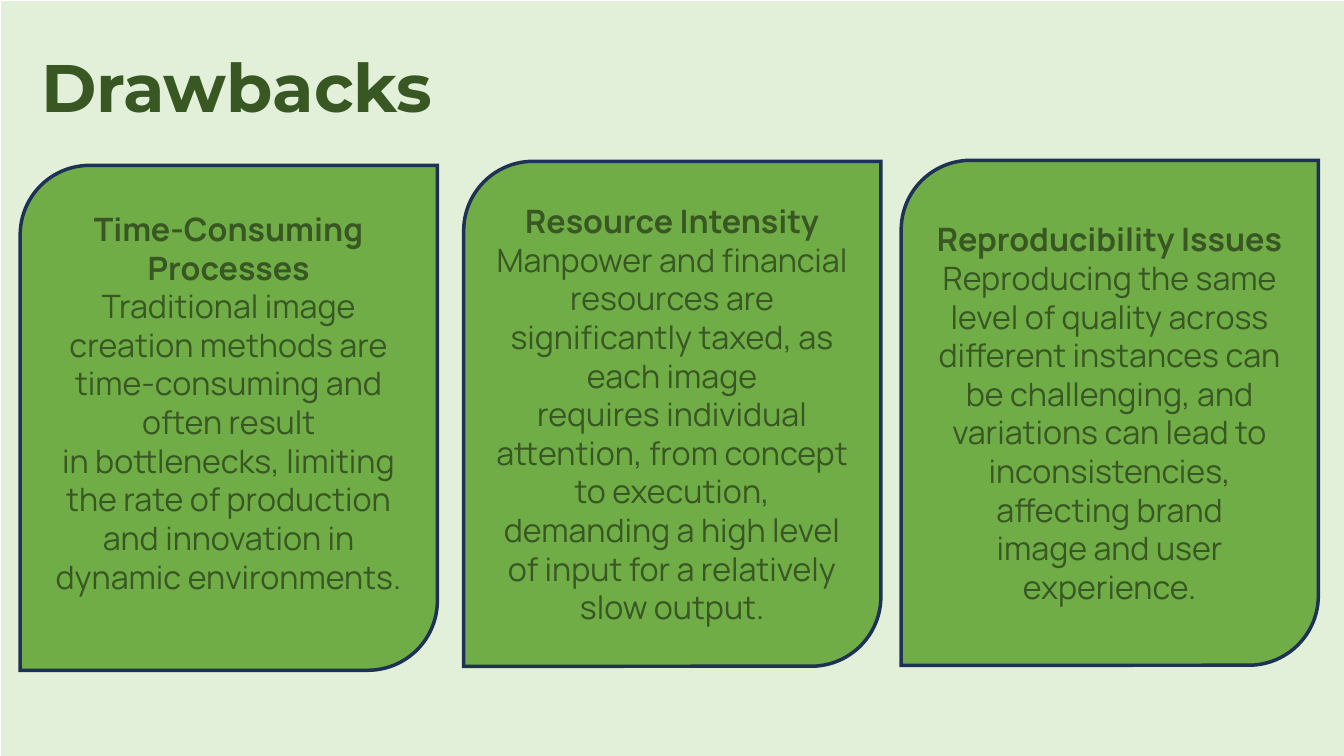
from dataclasses import dataclass

from lxml.etree import SubElement
from pptx import Presentation
from pptx.dml.color import RGBColor
from pptx.enum.shapes import MSO_SHAPE as SHAPE
from pptx.enum.text import MSO_ANCHOR as ANCHOR, MSO_AUTO_SIZE as AUTO, PP_ALIGN as ALIGN
from pptx.oxml.ns import qn
from pptx.util import Pt


@dataclass(frozen=True)
class Theme:
    page: str = "E2F0D9"
    edge: str = "FFFFFF"
    card: str = "70AD47"
    outline: str = "1E3256"
    text: str = "385723"
    title_font: str = "Montserrat"
    body_font: str = "Manrope"
    title_size: float = 48
    body_size: float = 23


WIDTH, HEIGHT = 960, 540
CARD_W, CARD_H = 298, 360.7
TIE, HARD_SPACE = "~", chr(160)  # "~" ties two words on one line

# left, top, bottom inset, heading, body
CARDS = [
    (14.4, 118.1, 25.6, "Time-Consuming Processes",
     "Traditional image creation methods are time-consuming and often result "
     "in~bottlenecks, limiting the rate of production and innovation in "
     "dynamic~environments."),
    (331.2, 115.2, 3.6, "Resource Intensity",
     "Manpower and financial resources are significantly taxed, as each image "
     "requires~individual attention, from concept to execution, demanding a "
     "high level of input~for a relatively slow output."),
    (643.7, 114.5, 3.6, "Reproducibility Issues",
     "Reproducing the same level of quality across different instances can "
     "be~challenging, and variations can lead to inconsistencies, affecting "
     "brand image~and user experience."),
]


def write(p, text, *, font, size, color, bold=False, align=ALIGN.LEFT):
    """Add one formatted run to a paragraph."""
    p.alignment = align
    r = p.add_run()
    r.text = text.replace(TIE, HARD_SPACE)
    r.font.name = font
    r.font.size = Pt(size)
    r.font.bold = bold
    r.font.color.rgb = RGBColor.from_string(color)


class Deck:
    def __init__(self, theme):
        self.theme = theme
        self.prs = Presentation()
        self.prs.slide_width, self.prs.slide_height = Pt(WIDTH), Pt(HEIGHT)
        self.s = self.prs.slides.add_slide(self.prs.slide_layouts[5])

    def shape(self, kind, x, y, w, h, fill, line, weight):
        sp = self.s.shapes.add_shape(kind, Pt(x), Pt(y), Pt(w), Pt(h))
        sp.shadow.inherit = False
        sp.fill.solid()
        sp.fill.fore_color.rgb = RGBColor.from_string(fill)
        sp.line.color.rgb = RGBColor.from_string(line)
        sp.line.width = Pt(weight)
        # Sharp outline corners
        SubElement(sp.element.spPr.find(qn("a:ln")), qn("a:miter"), lim="800000")
        return sp

    def backdrop(self):
        t = self.theme
        sp = self.shape(SHAPE.RECTANGLE, 0, 0, WIDTH, HEIGHT, t.page, t.edge, 0.5)
        # Send behind the title placeholder
        self.s.shapes.title.element.addprevious(sp.element)

    def title(self, text, x, y, w, h):
        t = self.theme
        sp = self.s.shapes.title
        sp.left, sp.top, sp.width, sp.height = Pt(x), Pt(y), Pt(w), Pt(h)
        tf = sp.text_frame
        tf.auto_size = AUTO.NONE
        tf.word_wrap = True
        tf.vertical_anchor = ANCHOR.TOP
        write(tf.paragraphs[0], text, font=t.title_font, size=t.title_size,
              color=t.text, bold=True)

    def card(self, x, y, inset, heading, body):
        t = self.theme
        sp = self.shape(SHAPE.ROUND_2_DIAG_RECTANGLE, x, y, CARD_W, CARD_H,
                        t.card, t.outline, 2.5)
        tf = sp.text_frame
        tf.word_wrap = True
        tf.vertical_anchor = ANCHOR.MIDDLE
        tf.margin_bottom = Pt(inset)
        style = dict(font=t.body_font, size=t.body_size, color=t.text, align=ALIGN.CENTER)
        write(tf.paragraphs[0], heading, bold=True, **style)
        write(tf.add_paragraph(), body, **style)


def main():
    deck = Deck(Theme())
    # Background and title
    deck.backdrop()
    deck.title("Drawbacks", 22.3, 28.8, 838, 65.5)
    # Three drawback cards
    for card in CARDS:
        deck.card(*card)
    deck.prs.save("out.pptx")


if __name__ == "__main__":
    main()
